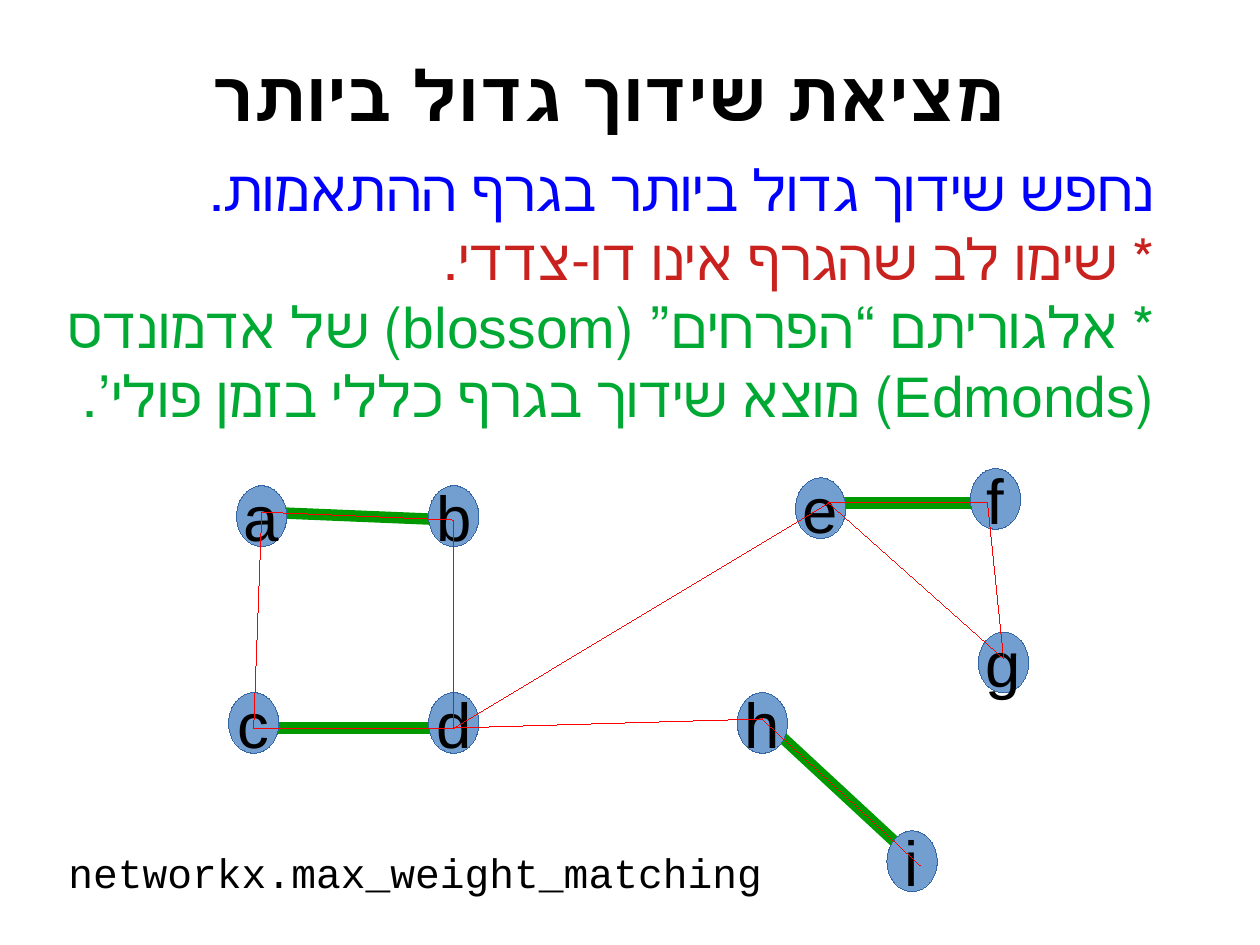
from lxml.etree import SubElement
from pptx import Presentation
from pptx.dml.color import RGBColor
from pptx.enum.shapes import MSO_CONNECTOR as Connector, MSO_SHAPE as Shape
from pptx.enum.text import MSO_ANCHOR as Anchor, MSO_AUTO_SIZE as AutoSize, PP_ALIGN as Align
from pptx.oxml.ns import qn
from pptx.util import Pt

# Content
TITLE = "מציאת שידוך גדול ביותר"
BODY = [
    ("נחפש שידוך גדול ביותר בגרף ההתאמות.", "blue"),
    ("* שימו לב שהגרף אינו דו-צדדי.", "red"),
    ("* אלגוריתם “הפרחים” (blossom) של אדמונדס\n"
     "(Edmonds) מוצא שידוך בגרף כללי בזמן פולי’.", "green"),
]
CODE = "networkx.max_weight_matching"

# Each node: left and top of its circle, then the point where its edges meet
NODES = {
    "a": (149, 306, 164.9, 322.6),
    "b": (270, 306, 285.8, 327.6),
    "c": (144, 436.3, 159.8, 458.6),
    "d": (270, 436.3, 285.8, 458.6),
    "e": (501.1, 301, 522, 316.8),
    "f": (611.3, 295.2, 622.1, 316.8),
    "g": (616.3, 398.2, 632.2, 414.7),
    "h": (464.4, 436.3, 480.2, 452.9),
    "i": (558.7, 523.4, 579.6, 545),
}
MATCHING = ["ab", "cd", "ef", "hi"]
EDGES = ["ac", "ab", "bd", "cd", "eg", "ef", "fg", "hi", "dh", "de"]

COLORS = {
    "black": "000000", "blue": "0000FF", "red": "C9211E", "green": "00A933",
    "node": "729FCF", "outline": "3465A4", "match": "009900", "edge": "FF0000",
}
SLIDE_SIZE = (793.7, 595.28)
NODE_SIZE = (31.7, 38.2)
TITLE_BOX = (39.6, 19.4, 687.6, 79.2)
BODY_BOX = (20.2, 93.6, 714.2, 208.8)
CODE_BOX = (36, 529.9, 475.2, 46.1)
INSETS = (7.2, 3.6, 7.2, 3.6)


def color(name):
    return RGBColor.from_string(COLORS[name])


def place(box, bounds):
    for side, value in zip(("left", "top", "width", "height"), bounds):
        setattr(box, side, Pt(value))


def set_frame(box, insets=INSETS, anchor=Anchor.TOP, wrap=True):
    frame = box.text_frame
    values = {"auto_size": AutoSize.NONE, "word_wrap": wrap, "vertical_anchor": anchor}
    for side, inset in zip(("left", "top", "right", "bottom"), insets):
        values["margin_" + side] = Pt(inset)
    for name, value in values.items():
        setattr(frame, name, value)
    return frame


def write(para, text, size, tint="black", face="Arial", bold=False, align=Align.LEFT, rtl=False):
    para.text = text
    para.alignment = align
    if rtl:
        para.space_before = Pt(0)
        properties = para._p.get_or_add_pPr()
        for name, value in {"rtl": "1", "marL": "0", "marR": "0", "indent": "0"}.items():
            properties.set(name, value)
        SubElement(properties, qn("a:buNone"))
    for span in para.runs:
        for name, value in {"size": Pt(size), "name": face, "bold": bold}.items():
            setattr(span.font, name, value)
        span.font.color.rgb = color(tint)


def set_line(shape, tint, width):
    shape.line.color.rgb = color(tint)
    # A zero width must be written out, or the theme's width applies
    shape._element.spPr.find(qn("a:ln")).set("w", str(int(Pt(width))))


def draw_edge(page, pair, tint, width):
    ends = [Pt(value) for node in pair for value in NODES[node][2:]]
    edge = page.shapes.add_connector(Connector.STRAIGHT, *ends)
    set_line(edge, tint, width)
    SubElement(edge._element.spPr, qn("a:effectLst"))


def draw_node(page, name):
    box = page.shapes.add_shape(Shape.OVAL, *map(Pt, NODES[name][:2] + NODE_SIZE))
    box.shadow.inherit = False
    box.fill.solid()
    box.fill.fore_color.rgb = color("node")
    set_line(box, "outline", 0)
    frame = set_frame(box, anchor=Anchor.MIDDLE, wrap=False)
    write(frame.paragraphs[0], name, 40, align=Align.CENTER)


def main():
    deck = Presentation()
    deck.slide_width, deck.slide_height = map(Pt, SLIDE_SIZE)
    page = deck.slides.add_slide(deck.slide_layouts[1])

    # Title
    title = page.shapes.title
    place(title, TITLE_BOX)
    frame = set_frame(title, (0, 0, 0, 0), Anchor.MIDDLE)
    write(frame.paragraphs[0], TITLE, 44, bold=True, align=Align.CENTER, rtl=True)

    # Explanation
    body = page.placeholders[1]
    place(body, BODY_BOX)
    frame = set_frame(body)
    for index, (text, tint) in enumerate(BODY):
        para = frame.add_paragraph() if index else frame.paragraphs[0]
        write(para, text, 36, tint, align=Align.RIGHT, rtl=True)

    # Graph: matching behind the nodes, edges in front
    for pair in MATCHING:
        draw_edge(page, pair, "match", 7.2)
    for name in NODES:
        draw_node(page, name)
    for pair in EDGES:
        draw_edge(page, pair, "edge", 0)

    # Function name
    box = page.shapes.add_textbox(*map(Pt, CODE_BOX))
    write(set_frame(box).paragraphs[0], CODE, 26, face="Courier New")

    deck.save("out.pptx")


if __name__ == "__main__":
    main()
